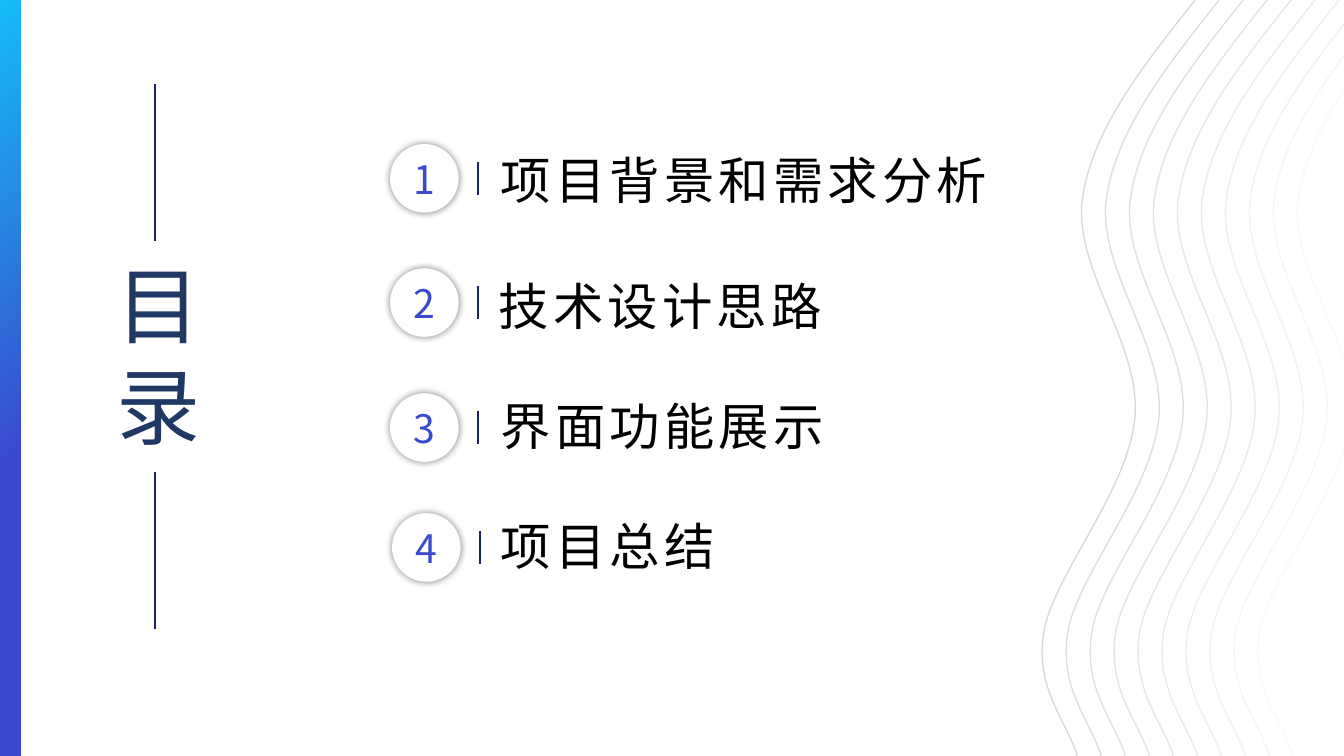
"""Build a contents slide with four numbered topics beside a field of waves."""
import pptx
import pptx.util
import pptx.dml.color
import pptx.enum.shapes
import pptx.enum.text
import pptx.oxml
import pptx.oxml.ns

Cm = pptx.util.Cm
Pt = pptx.util.Pt
RGBColor = pptx.dml.color.RGBColor
SHAPES = pptx.enum.shapes.MSO_SHAPE

FONT = "Noto Sans CJK SC"
BLACK = RGBColor(0x00, 0x00, 0x00)
WHITE = RGBColor(0xFF, 0xFF, 0xFF)
SKY = RGBColor(0x14, 0xBD, 0xFA)
INDIGO = RGBColor(0x3A, 0x4A, 0xCE)
NAVY = RGBColor(0x20, 0x38, 0x64)
RULE = RGBColor(0x1A, 0x23, 0x6A)
NAMESPACE = pptx.oxml.ns.nsdecls("a")
SHADOW = (
    f'<a:effectLst {NAMESPACE}><a:outerShdw blurRad="63500" sx="102000" sy="102000" algn="ctr" rotWithShape="0">'
    '<a:srgbClr val="000000"><a:alpha val="40000"/></a:srgbClr></a:outerShdw></a:effectLst>'
)


def write(box, lines, size, color, frame_format, para_format, spacing=0):
    """Fill a shape with one styled paragraph per line."""
    frame = box.text_frame
    for name, value in frame_format.items():
        setattr(frame, name, value)
    for index, line in enumerate(lines):
        para = frame.add_paragraph() if index else frame.paragraphs[0]
        for name, value in para_format.items():
            setattr(para, name, value)
        span = para.add_run()
        span.text = line
        for name, value in {"name": FONT, "size": Pt(size)}.items():
            setattr(span.font, name, value)
        span.font.color.rgb = color
        properties = span.font._element
        properties.append(pptx.oxml.parse_xml(f'<a:ea {NAMESPACE} typeface="{FONT}"/>'))
        if spacing:
            properties.set("spc", str(spacing * 100))


def add_rule(page, left, top, height):
    """Draw a thin vertical rule."""
    rule = page.shapes.add_connector(
        pptx.enum.shapes.MSO_CONNECTOR.STRAIGHT, Cm(left), Cm(top), Cm(left), Cm(top + height))
    rule.line.color.rgb = RULE
    rule.line.width = Pt(1.5)
    rule._element.spPr.append(pptx.oxml.parse_xml(f"<a:effectLst {NAMESPACE}/>"))


deck = pptx.Presentation()
deck.slide_width = Cm(33.87)
deck.slide_height = Cm(19.05)
page = deck.slides.add_slide(deck.slide_layouts[6])

bar = page.shapes.add_shape(SHAPES.RECTANGLE, Cm(-0.03), Cm(0), Cm(0.56), Cm(19.05))
bar.shadow.inherit = False
bar.line.fill.background()
bar.fill.gradient()
bar.fill.gradient_angle = 315
for stop, color, position in zip(bar.fill.gradient_stops, (SKY, INDIGO), (0, 0.6)):
    stop.color.rgb = color
    stop.position = position

WAVE_START = (30.12, 0)
WAVE_CURVES = [
    ((28.83, 1.63), (27.53, 3.25), (27.28, 5)),
    ((27.03, 6.76), (28.77, 8.69), (28.6, 10.52)),
    ((28.45, 12.32), (26.57, 14.48), (26.31, 15.9)),
    ((26.06, 17.35), (26.9, 18.19), (27.15, 19.05)),
]
WAVE_COUNT = 10
WAVE_SPREAD = 5.44
for index in range(WAVE_COUNT):
    shift = WAVE_SPREAD * index / (WAVE_COUNT - 1)
    builder = page.shapes.build_freeform(Cm(WAVE_START[0] + shift), Cm(WAVE_START[1]))
    builder.add_line_segments([(Cm(x + shift), Cm(y)) for _, _, (x, y) in WAVE_CURVES], close=False)
    wave = builder.convert_to_shape()
    segments = wave._element.findall(".//" + pptx.oxml.ns.qn("a:lnTo"))
    for segment, curve in zip(segments, WAVE_CURVES):
        points = "".join(
            f'<a:pt x="{Cm(x + shift) - wave.left}" y="{Cm(y) - wave.top}"/>' for x, y in curve)
        bezier = pptx.oxml.parse_xml(f"<a:cubicBezTo {NAMESPACE}>{points}</a:cubicBezTo>")
        segment.getparent().replace(segment, bezier)
    wave.shadow.inherit = False
    wave.fill.background()
    gray = round(217 + 3.6 * index)
    wave.line.color.rgb = RGBColor(gray, gray, gray)
    wave.line.width = Pt(1)

for top in (2.11, 11.89):
    add_rule(page, 3.91, top, 3.96)
heading = page.shapes.add_textbox(Cm(2.69), Cm(6.27), Cm(5.13), Cm(5.38))
write(heading, ["目", "录"], 60, NAVY, {"word_wrap": True}, {})

TOPICS = [
    ("项目背景和需求分析", 9.83, 3.63, 12.37, 3.63, 13),
    ("技术设计思路", 9.83, 6.76, 12.32, 6.81, 8.84),
    ("界面功能展示", 9.83, 9.91, 12.37, 9.83, 8.84),
    ("项目总结", 9.88, 12.93, 12.37, 12.85, 6.07),
]
BADGE_SIZE = 1.73
BADGE_FRAME = {
    "word_wrap": False,
    "vertical_anchor": pptx.enum.text.MSO_ANCHOR.MIDDLE,
    "margin_left": 0, "margin_right": 0, "margin_top": 0, "margin_bottom": 0,
}
for number, (topic, badge_left, badge_top, left, top, width) in enumerate(TOPICS, 1):
    badge = page.shapes.add_shape(
        SHAPES.OVAL, Cm(badge_left), Cm(badge_top), Cm(BADGE_SIZE), Cm(BADGE_SIZE))
    badge.fill.solid()
    badge.fill.fore_color.rgb = WHITE
    badge.line.fill.background()
    badge._element.spPr.append(pptx.oxml.parse_xml(SHADOW))
    write(badge, [str(number)], 28, INDIGO, BADGE_FRAME,
          {"alignment": pptx.enum.text.PP_ALIGN.CENTER})
    label = page.shapes.add_textbox(Cm(left), Cm(top), Cm(width), Cm(1.8))
    write(label, [topic], 36, BLACK, {"word_wrap": False}, {}, spacing=3)
    add_rule(page, badge_left + 2.21, badge_top + 0.44, 0.85)

deck.save("out.pptx")
